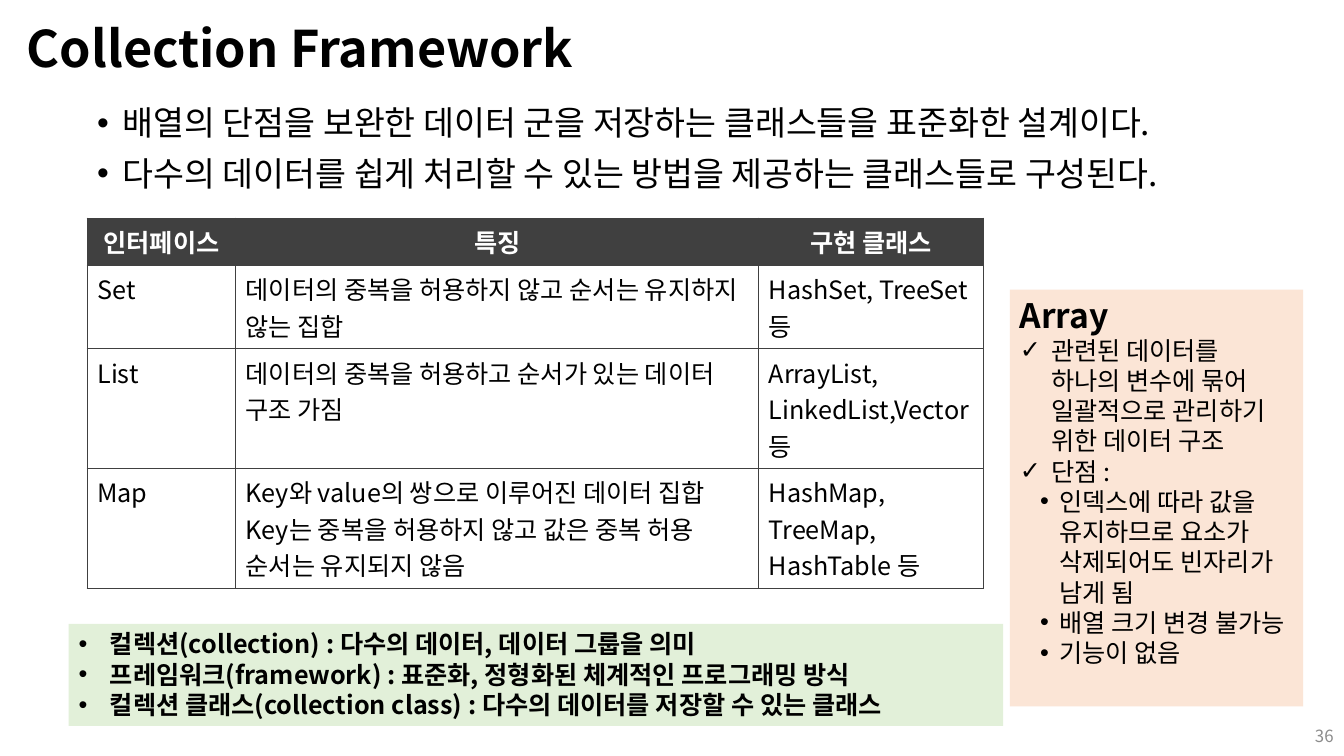
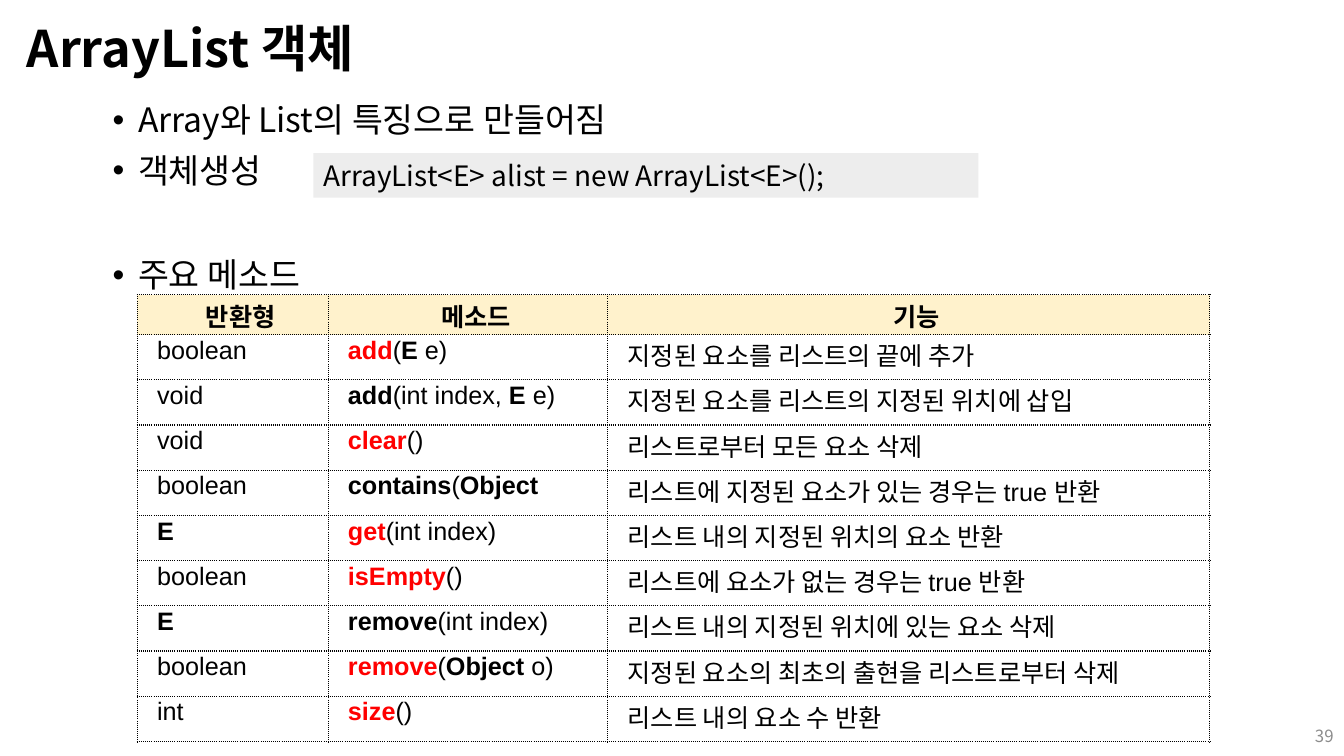
from lxml import etree
from pptx import Presentation
from pptx import util as u
from pptx.dml.color import RGBColor
from pptx.enum import shapes, text
from pptx.oxml.ns import qn

FONT = "Noto Sans CJK KR"
COLORS = {
    "black": "000000", "white": "FFFFFF", "red": "FF0000", "gray": "8C8C8C",
    "dark": "404040", "green": "E2F0D9", "peach": "FBE5D6",
    "cream": "FFF2CC", "light": "EDEDED",
}
# Bullet styles: character, left margin and hanging indent in cm
BULLETS = {
    "body": ("•", 0.64, 0.64),
    "dot": ("•", 0.79, 0.79),
    "check": ("✓", 0.79, 0.79),
    "sub": ("•", 0.99, 0.48),
}
BODY_SPACING = 0.9


def rgb(name):
    return RGBColor.from_string(COLORS[name])


def box(left, top, width, height):
    return [u.Cm(value) for value in (left, top, width, height)]


def format_run(run, size, color="black", bold=False, latin=FONT):
    run.font.size = u.Pt(size)
    run.font.bold = bold
    run.font.name = latin
    run.font.color.rgb = rgb(color)
    etree.SubElement(run._r.get_or_add_rPr(), qn("a:ea"), typeface=FONT)


def write_runs(paragraph, content, size, color="black", bold=False, latin=FONT):
    """Write text in which *...* marks bold and *!...* marks bold red."""
    for index, part in enumerate(content.split("*")):
        if not part:
            continue
        marked = index % 2 == 1
        run = paragraph.add_run()
        run.text = part.removeprefix("!") if marked else part
        run_color = "red" if marked and part.startswith("!") else color
        format_run(run, size, run_color, bold or marked, latin)


def add_bullet(paragraph, style):
    character, margin, hanging = BULLETS[style]
    properties = paragraph._p.get_or_add_pPr()
    properties.set("marL", str(u.Cm(margin)))
    properties.set("indent", str(-u.Cm(hanging)))
    etree.SubElement(properties, qn("a:buFont"), typeface="Arial")
    etree.SubElement(properties, qn("a:buChar"), char=character)


def write_paragraphs(frame, items, size, bold=False, spacing=1.0, gaps=()):
    """Write (text, bullet style) items; gaps are the spaces between them in points."""
    frame.word_wrap = True
    for index, (content, bullet) in enumerate(items):
        paragraph = frame.paragraphs[0] if index == 0 else frame.add_paragraph()
        if bullet:
            add_bullet(paragraph, bullet)
        paragraph.alignment = text.PP_ALIGN.LEFT
        paragraph.line_spacing = spacing
        if index and gaps:
            paragraph.space_before = u.Pt(gaps[index - 1])
        write_runs(paragraph, content, size, bold=bold)


def add_slide(presentation, title, number):
    slide = presentation.slides.add_slide(presentation.slide_layouts[5])
    shape = slide.shapes.title
    shape.left, shape.top, shape.width, shape.height = box(0.42, 0.33, 33.15, 1.9)
    frame = shape.text_frame
    frame.auto_size = text.MSO_AUTO_SIZE.NONE
    frame.vertical_anchor = text.MSO_ANCHOR.MIDDLE
    write_paragraphs(frame, [(title, None)], 36, bold=True, spacing=BODY_SPACING)

    footer = slide.shapes.add_textbox(*box(32.72, 18.03, 1.14, 1.02)).text_frame
    footer.vertical_anchor = text.MSO_ANCHOR.MIDDLE
    footer.paragraphs[0].alignment = text.PP_ALIGN.RIGHT
    write_runs(footer.paragraphs[0], str(number), 12, "gray")
    return slide


def add_body(slide, place, lines, gaps):
    frame = slide.shapes.add_textbox(*box(*place)).text_frame
    write_paragraphs(frame, [(line, "body") for line in lines], 24,
                     spacing=BODY_SPACING, gaps=gaps)


def add_panel(slide, place, fill):
    """Add a borderless filled rectangle and return its text frame."""
    shape = slide.shapes.add_shape(shapes.MSO_SHAPE.RECTANGLE, *box(*place))
    shape.shadow.inherit = False
    shape.fill.solid()
    shape.fill.fore_color.rgb = rgb(fill)
    shape.line.fill.background()
    shape.text_frame.vertical_anchor = text.MSO_ANCHOR.TOP
    return shape.text_frame


def set_borders(cell, color, dash):
    properties = cell._tc.get_or_add_tcPr()
    for side in ("lnL", "lnR", "lnT", "lnB"):
        line = etree.SubElement(properties, qn(f"a:{side}"), w=str(u.Pt(1)))
        fill = etree.SubElement(line, qn("a:solidFill"))
        etree.SubElement(fill, qn("a:srgbClr"), val=COLORS[color])
        etree.SubElement(line, qn("a:prstDash"), val=dash)


def add_table(slide, origin, widths, heights, rows, header_fill, header_color,
              border, dash="solid", latin=FONT, fill=None, margins=None):
    """Add a table whose first row is the header; margins are left, top, right, bottom."""
    frame = slide.shapes.add_table(
        len(rows), len(widths), *box(*origin, sum(widths), sum(heights)))
    table = frame.table
    table.first_row = table.horz_banding = False
    for column, width in zip(table.columns, widths):
        column.width = u.Cm(width)
    for row, height in zip(table.rows, heights):
        row.height = u.Cm(height)
    for row_index, row in enumerate(rows):
        header = row_index == 0
        cell_fill = header_fill if header else fill
        for column_index, content in enumerate(row):
            cell = table.cell(row_index, column_index)
            set_borders(cell, border, dash)
            if cell_fill:
                cell.fill.solid()
                cell.fill.fore_color.rgb = rgb(cell_fill)
            else:
                cell.fill.background()
            if margins:
                (cell.margin_left, cell.margin_top,
                 cell.margin_right, cell.margin_bottom) = box(*margins)
            for index, line in enumerate(content.split("\n")):
                frame = cell.text_frame
                paragraph = frame.add_paragraph() if index else frame.paragraphs[0]
                if header:
                    paragraph.alignment = text.PP_ALIGN.CENTER
                write_runs(paragraph, line, 18, header_color if header else "black",
                           header, latin)


def build_framework_slide(presentation):
    slide = add_slide(presentation, "Collection Framework", 36)
    add_body(slide, (2.2, 2.57, 30.45, 2.7), [
        "배열의 단점을 보완한 데이터 군을 저장하는 클래스들을 표준화한 설계이다.",
        "다수의 데이터를 쉽게 처리할 수 있는 방법을 제공하는 클래스들로 구성된다.",
    ], gaps=[10])
    add_table(slide, (2.2, 5.5), [3.74, 13.18, 5.67], [1.19, 2.1, 3.02, 3.02], [
        ("인터페이스", "특징", "구현 클래스"),
        ("Set", "데이터의 중복을 허용하지 않고 순서는 유지하지 않는 집합",
         "HashSet, TreeSet 등"),
        ("List", "데이터의 중복을 허용하고 순서가 있는 데이터 구조 가짐",
         "ArrayList, LinkedList,Vector 등"),
        ("Map", "Key와 value의 쌍으로 이루어진 데이터 집합\n"
         "Key는 중복을 허용하지 않고 값은 중복 허용\n순서는 유지되지 않음",
         "HashMap, TreeMap, HashTable 등"),
    ], header_fill="dark", header_color="white", border="dark")

    terms = add_panel(slide, (1.73, 15.72, 23.55, 2.57), "green")
    write_paragraphs(terms, [
        ("컬렉션(collection) : 다수의 데이터, 데이터 그룹을 의미", "dot"),
        ("프레임워크(framework) : 표준화, 정형화된 체계적인 프로그래밍 방식", "dot"),
        ("컬렉션 클래스(collection class) : 다수의 데이터를 저장할 수 있는 클래스", "dot"),
    ], 18, bold=True)

    array = add_panel(slide, (25.45, 7.3, 7.39, 10.5), "peach")
    write_paragraphs(array, [
        ("*Array*", None),
        ("관련된 데이터를 하나의 변수에 묶어 일괄적으로 관리하기 위한 데이터 구조", "check"),
        ("단점 :", "check"),
        ("인덱스에 따라 값을 유지하므로 요소가 삭제되어도 빈자리가 남게 됨", "sub"),
        ("배열 크기 변경 불가능", "sub"),
        ("기능이 없음", "sub"),
    ], 18)
    array.paragraphs[0].runs[0].font.size = u.Pt(24)


def build_array_list_slide(presentation):
    slide = add_slide(presentation, "ArrayList 객체", 39)
    add_body(slide, (2.59, 2.49, 28.78, 5), [
        "Array와 List의 특징으로 만들어짐", "객체생성", "주요 메소드",
    ], gaps=[10, 49])
    methods = [
        ("반환형", "메소드", "기능"),
        ("boolean", "*!add*(*E* e)", "지정된 요소를 리스트의 끝에 추가"),
        ("void", "*add*(int index, *E* e)", "지정된 요소를 리스트의 지정된 위치에 삽입"),
        ("void", "*!clear*()", "리스트로부터 모든 요소 삭제"),
        ("boolean", "*contains*(*Object*", "리스트에 지정된 요소가 있는 경우는 true 반환"),
        ("*E*", "*!get*(int index)", "리스트 내의 지정된 위치의 요소 반환"),
        ("boolean", "*!isEmpty*()", "리스트에 요소가 없는 경우는 true 반환"),
        ("*E*", "*remove*(int index)", "리스트 내의 지정된 위치에 있는 요소 삭제"),
        ("boolean", "*!remove*(*Object* o)", "지정된 요소의 최초의 출현을 리스트로부터 삭제"),
        ("int", "*!size*()", "리스트 내의 요소 수 반환"),
    ]
    add_table(slide, (3.46, 7.43), [4.81, 7.05, 15.17],
              [1] + [1.14] * (len(methods) - 1), methods,
              header_fill="cream", header_color="black", border="black",
              dash="sysDot", latin="Arial", fill="white",
              margins=(0.5, 0.05, 0.1, 0.03))
    code = add_panel(slide, (7.9, 3.86, 16.76, 1.12), "light")
    write_paragraphs(code, [("ArrayList<E> alist = new ArrayList<E>();", None)], 20)


def main():
    presentation = Presentation()
    presentation.slide_width = u.Cm(33.87)
    presentation.slide_height = u.Cm(19.05)
    build_framework_slide(presentation)
    build_array_list_slide(presentation)
    presentation.save("out.pptx")


if __name__ == "__main__":
    main()
